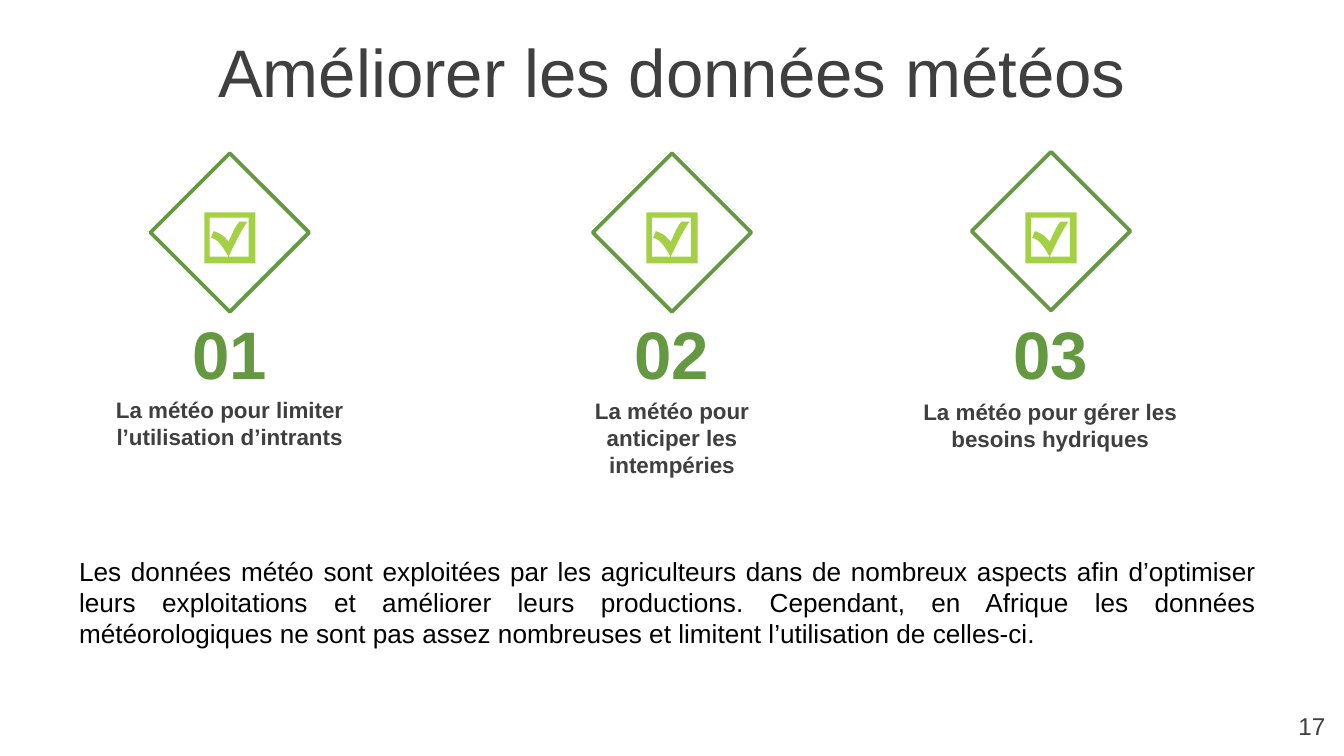
from dataclasses import dataclass

from lxml import etree
from pptx import Presentation
from pptx.dml.color import RGBColor
from pptx.enum.shapes import MSO_SHAPE
from pptx.enum.text import MSO_ANCHOR, PP_ALIGN
from pptx.oxml.ns import qn
from pptx.util import Inches, Pt

DIAMOND = MSO_SHAPE.DIAMOND
TOP, MIDDLE = MSO_ANCHOR.TOP, MSO_ANCHOR.MIDDLE
CENTER, RIGHT, JUSTIFY = PP_ALIGN.CENTER, PP_ALIGN.RIGHT, PP_ALIGN.JUSTIFY

COLORS = {
    "white": "FFFFFF",
    "black": "000000",
    "gray": "3F3F3F",
    "green": "649941",
    "lime": "A4D144",
}
FONT = "Arial"
SLIDE_WIDTH = Inches(10)
SLIDE_HEIGHT = SLIDE_WIDTH * 9 // 16
DIAMOND_SIZE = 1.18
NUMBER_WIDTH = 0.94
CHECKBOX_SIZE = 0.38
CURVE_STEPS = 8

Point = tuple[float, float]
Box = tuple[float, float, float, float]


@dataclass
class Benefit:
    number: str
    caption: str
    center: float
    diamond_top: float
    caption_box: Box


BENEFITS = [
    Benefit("01", "La météo pour limiter l’utilisation d’intrants",
            1.71, 1.14, (0.58, 2.89, 2.26, 0.51)),
    Benefit("02", "La météo pour anticiper les intempéries",
            5.0, 1.14, (4.04, 2.9, 1.92, 0.71)),
    Benefit("03", "La météo pour gérer les besoins hydriques",
            7.82, 1.13, (6.71, 2.81, 2.21, 0.71)),
]
SUMMARY = (
    "Les données météo sont exploitées par les agriculteurs dans de nombreux "
    "aspects afin d’optimiser leurs exploitations et améliorer leurs "
    "productions. Cependant, en Afrique les données météorologiques ne sont "
    "pas assez nombreuses et limitent l’utilisation de celles-ci."
)


def rgb(name: str) -> RGBColor:
    return RGBColor.from_string(COLORS[name])


def write(shape, text: str, *, size: float, color: str = "gray",
          bold: bool = False, align=CENTER, anchor=MIDDLE,
          inset: float = 0.05) -> None:
    """Fill a shape with one formatted paragraph; inset is top and bottom."""
    frame = shape.text_frame
    frame.word_wrap = True
    frame.vertical_anchor = anchor
    frame.margin_left = frame.margin_right = Inches(0.1)
    frame.margin_top = frame.margin_bottom = Inches(inset)
    paragraph = frame.paragraphs[0]
    paragraph.alignment = align
    run = paragraph.add_run()
    run.text = text
    run.font.name = FONT
    run.font.size = Pt(size)
    run.font.bold = bold
    run.font.color.rgb = rgb(color)


def add_text(slide, text: str, box: Box, **style) -> None:
    write(slide.shapes.add_textbox(*map(Inches, box)), text, **style)


def curve(start: Point, control_1: Point, control_2: Point,
          end: Point) -> list[Point]:
    """Points along a cubic Bézier curve, without its start."""
    points = []
    for step in range(1, CURVE_STEPS + 1):
        t = step / CURVE_STEPS
        weights = ((1 - t) ** 3, 3 * t * (1 - t) ** 2, 3 * t * t * (1 - t), t ** 3)
        controls = (start, control_1, control_2, end)
        points.append(tuple(
            sum(w * c[axis] for w, c in zip(weights, controls))
            for axis in (0, 1)
        ))
    return points


# The hole of the checkbox follows the outline of the tick.
TICK_HOLE = [
    (0.04, 0.04), (0.04, 0.33), (0.18, 0.33),
    *curve((0.18, 0.33), (0.15, 0.28), (0.11, 0.2), (0.05, 0.19)),
    (0.07, 0.14),
    *curve((0.07, 0.14), (0.13, 0.16), (0.15, 0.18), (0.18, 0.22)),
    *curve((0.18, 0.22), (0.21, 0.16), (0.22, 0.12), (0.26, 0.07)),
    (0.32, 0.07),
    *curve((0.32, 0.07), (0.27, 0.14), (0.22, 0.25), (0.18, 0.33)),
    (0.33, 0.33), (0.33, 0.04),
]
CHECKBOX_EDGE = [(0, 0), (CHECKBOX_SIZE, 0),
                 (CHECKBOX_SIZE, CHECKBOX_SIZE), (0, CHECKBOX_SIZE)]


def add_checkbox(slide, left: float, top: float) -> None:
    edge, hole = (
        [(Inches(x), Inches(y)) for x, y in outline]
        for outline in (CHECKBOX_EDGE, TICK_HOLE)
    )
    builder = slide.shapes.build_freeform(*edge[0])
    builder.add_line_segments(edge[1:], close=True)
    builder.move_to(*hole[0])
    builder.add_line_segments(hole[1:], close=True)
    checkbox = builder.convert_to_shape(Inches(left), Inches(top))
    checkbox.shadow.inherit = False
    checkbox.fill.solid()
    checkbox.fill.fore_color.rgb = rgb("lime")
    checkbox.line.fill.background()


def add_diamond(slide, left: float, top: float) -> None:
    size = Inches(DIAMOND_SIZE)
    diamond = slide.shapes.add_shape(DIAMOND, Inches(left), Inches(top), size, size)
    diamond.shadow.inherit = False
    diamond.fill.solid()
    diamond.fill.fore_color.rgb = rgb("white")
    diamond.line.color.rgb = rgb("green")
    diamond.line.width = Pt(2)
    etree.SubElement(diamond.element.spPr.find(qn("a:ln")), qn("a:round"))


def add_benefit(slide, benefit: Benefit) -> None:
    add_diamond(slide, benefit.center - DIAMOND_SIZE / 2, benefit.diamond_top)
    add_checkbox(slide, benefit.center - CHECKBOX_SIZE / 2, 1.58)
    number_box = (benefit.center - NUMBER_WIDTH / 2, 2.27, NUMBER_WIDTH, 0.71)
    add_text(slide, benefit.number, number_box, size=36, color="green", bold=True)
    add_text(slide, benefit.caption, benefit.caption_box, size=12, bold=True)


def main() -> None:
    deck = Presentation()
    deck.slide_width, deck.slide_height = SLIDE_WIDTH, SLIDE_HEIGHT
    slide = deck.slides.add_slide(deck.slide_layouts[5])

    title = slide.shapes.title
    title.left, title.top = Inches(0), Inches(0.21)
    title.width, title.height = SLIDE_WIDTH, Inches(0.63)
    write(title, "Améliorer les données météos", size=36)

    for benefit in BENEFITS:
        add_benefit(slide, benefit)

    add_text(slide, SUMMARY, (0.49, 4.03, 8.96, 1.25), size=14, color="black",
             align=JUSTIFY, anchor=TOP, inset=0.1)
    add_text(slide, "17", (9.36, 5.19, 0.6, 0.43), size=13,
             align=RIGHT, anchor=TOP, inset=0.1)
    deck.save("out.pptx")


if __name__ == "__main__":
    main()
